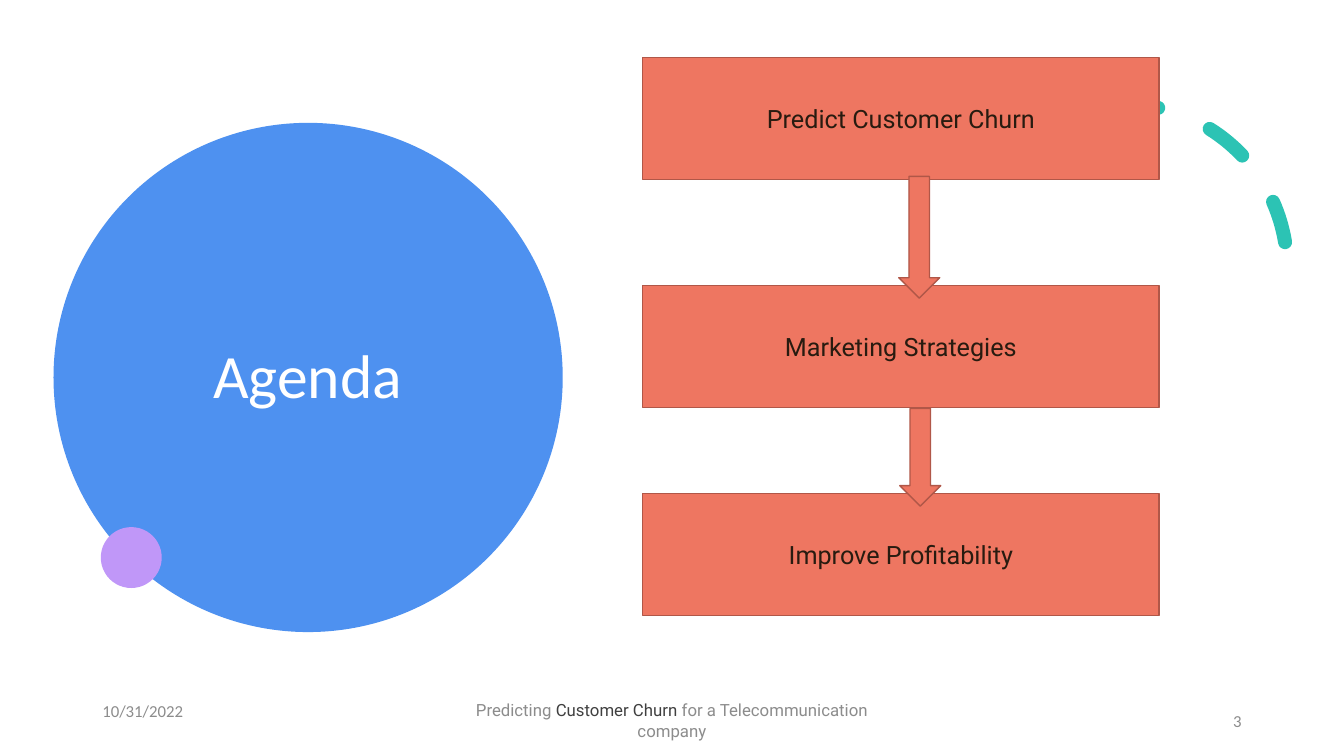
from pptx import Presentation
from pptx.dml.color import RGBColor
from pptx.enum.dml import MSO_LINE
from pptx.enum.shapes import MSO_SHAPE
from pptx.enum.text import MSO_ANCHOR, MSO_AUTO_SIZE, PP_ALIGN
from pptx.oxml.ns import qn
from pptx.util import Emu, Pt

PX = 9525  # EMU per px, 96 px to the inch
COLOURS = {
    "blue": "4E91F0",
    "teal": "2CC3B4",
    "purple": "C097F8",
    "coral": "EE7661",
    "rust": "B05748",
    "ink": "281B10",
    "grey": "8C8C8C",
    "dark": "404040",
    "white": "FFFFFF",
}
STEP_LEFT, STEP_WIDTH, STEP_HEIGHT = 612, 492, 116
STEPS = [
    ("Predict Customer Churn", 55),
    ("Marketing Strategies", 272),
    ("Improve Profitability", 470),
]
ARROWS = [(856, 168, 39, 116), (857, 389, 39, 93)]


def px(*lengths):
    return [Emu(length * PX) for length in lengths]


def colour(name):
    return RGBColor.from_string(COLOURS[name])


def format_paragraph(para, size, font, name, align):
    para.alignment = align
    para.font.size = Pt(size)
    para.font.name = font
    para.font.color.rgb = colour(name)


def add_filled(page, kind, place, fill, line=None):
    shape = page.shapes.add_shape(kind, *px(*place))
    shape.shadow.inherit = False
    shape.fill.solid()
    shape.fill.fore_color.rgb = colour(fill)
    if line:
        shape.line.color.rgb = colour(line)
        shape.line.width = Pt(1)
    else:
        shape.line.fill.background()
    return shape


def add_dashed_arc(page):
    arc = page.shapes.add_shape(MSO_SHAPE.ARC, *px(912, 99, 314, 314))
    arc.shadow.inherit = False
    arc.rotation = 330.2
    arc.adjustments[0] = 158.17
    arc.adjustments[1] = 17.81
    arc.fill.background()
    arc.line.color.rgb = colour("teal")
    arc.line.width = Pt(10)
    arc.line.dash_style = MSO_LINE.DASH
    arc.element.spPr.find(qn("a:ln")).set("cap", "rnd")


def format_title(page):
    title = page.shapes.title
    title.left, title.top, title.width, title.height = px(123, 147, 340, 427)
    title.element.getparent().append(title.element)  # in front of the circle
    frame = title.text_frame
    frame.text = "Agenda"
    frame.auto_size = MSO_AUTO_SIZE.NONE
    frame.vertical_anchor = MSO_ANCHOR.MIDDLE
    para = frame.paragraphs[0]
    format_paragraph(para, 44, "Calibri", "white", PP_ALIGN.CENTER)
    para.line_spacing = 0.9


def add_footer(page, place, spans, font, align):
    """Add a footer text; spans pair each text with its colour."""
    box = page.shapes.add_textbox(*px(*place))
    frame = box.text_frame
    frame.word_wrap = True
    frame.vertical_anchor = MSO_ANCHOR.MIDDLE
    para = frame.paragraphs[0]
    format_paragraph(para, 12, font, "grey", align)
    for text, name in spans:
        span = para.add_run()
        span.text = text
        span.font.color.rgb = colour(name)


def add_step(page, text, top):
    place = (STEP_LEFT, top, STEP_WIDTH, STEP_HEIGHT)
    step = add_filled(page, MSO_SHAPE.RECTANGLE, place, "coral", "rust")
    frame = step.text_frame
    frame.text = text
    frame.vertical_anchor = MSO_ANCHOR.MIDDLE
    format_paragraph(frame.paragraphs[0], 18, "Roboto", "ink", PP_ALIGN.CENTER)


def main():
    deck = Presentation()
    deck.slide_width, deck.slide_height = px(1280, 720)
    page = deck.slides.add_slide(deck.slide_layouts[5])

    add_filled(page, MSO_SHAPE.OVAL, (51, 117, 485, 485), "blue")
    add_dashed_arc(page)
    add_filled(page, MSO_SHAPE.OVAL, (96, 502, 58, 58), "purple")
    format_title(page)

    add_footer(page, (88, 658, 288, 38), [("10/31/2022", "grey")],
               "Calibri", PP_ALIGN.LEFT)
    add_footer(page, (424, 667, 432, 38),
               [("Predicting ", "grey"), ("Customer Churn ", "dark"),
                ("for a Telecommunication company", "grey")],
               "Roboto", PP_ALIGN.CENTER)
    add_footer(page, (904, 667, 288, 38), [("3", "grey")],
               "Calibri", PP_ALIGN.RIGHT)

    for text, top in STEPS:
        add_step(page, text, top)
    for place in ARROWS:
        add_filled(page, MSO_SHAPE.DOWN_ARROW, place, "coral", "rust")

    deck.save("out.pptx")


if __name__ == "__main__":
    main()
